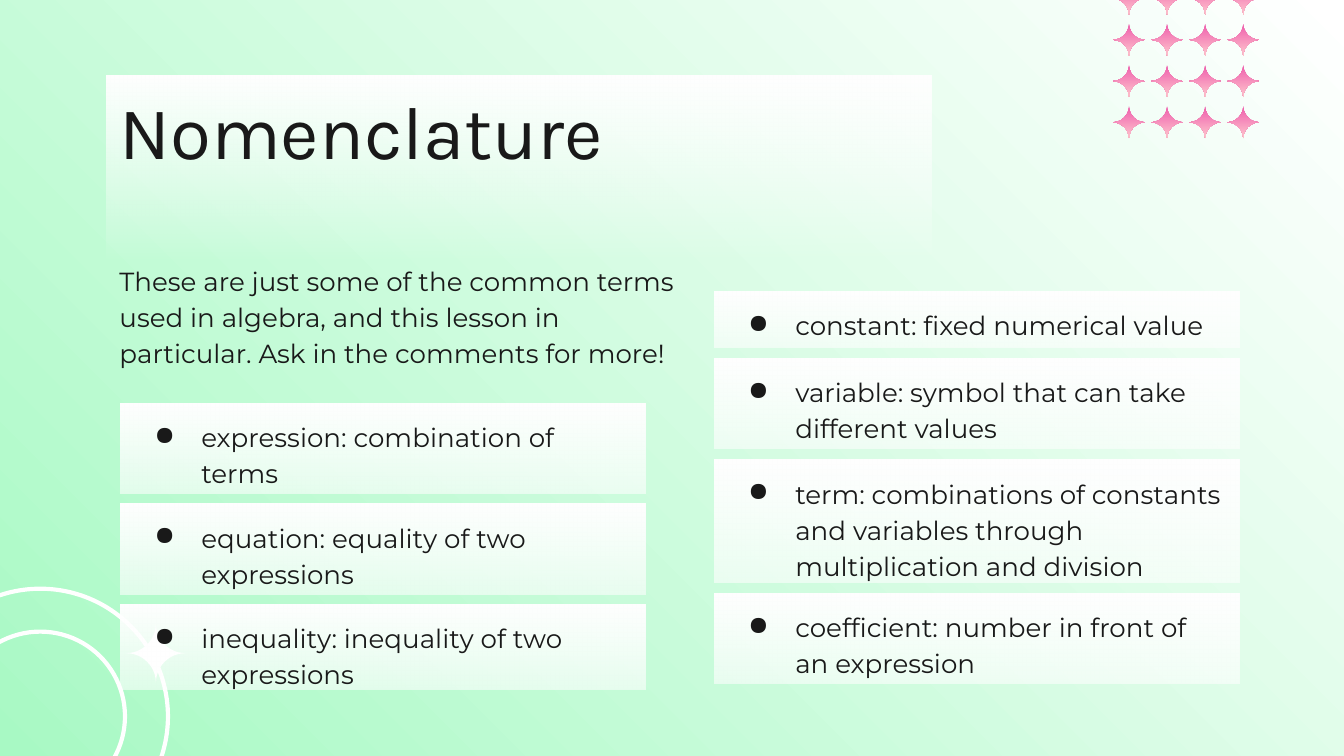
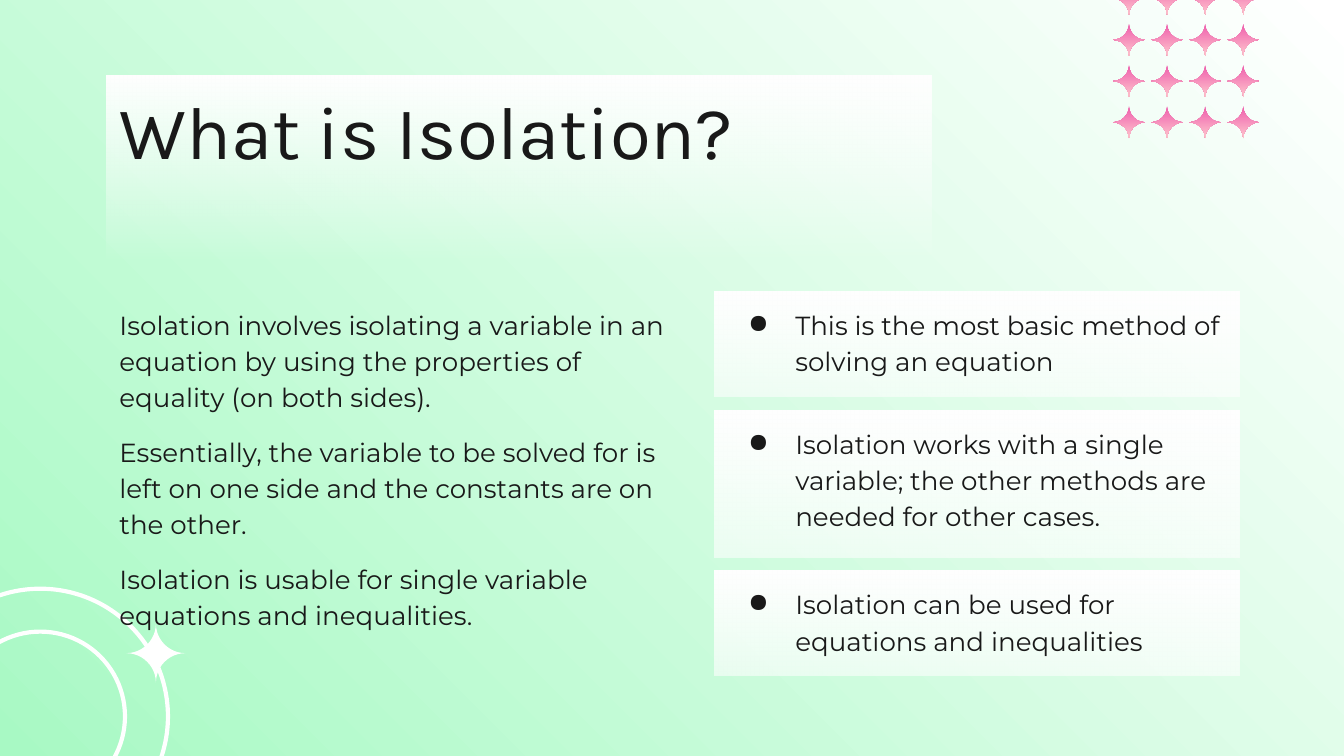
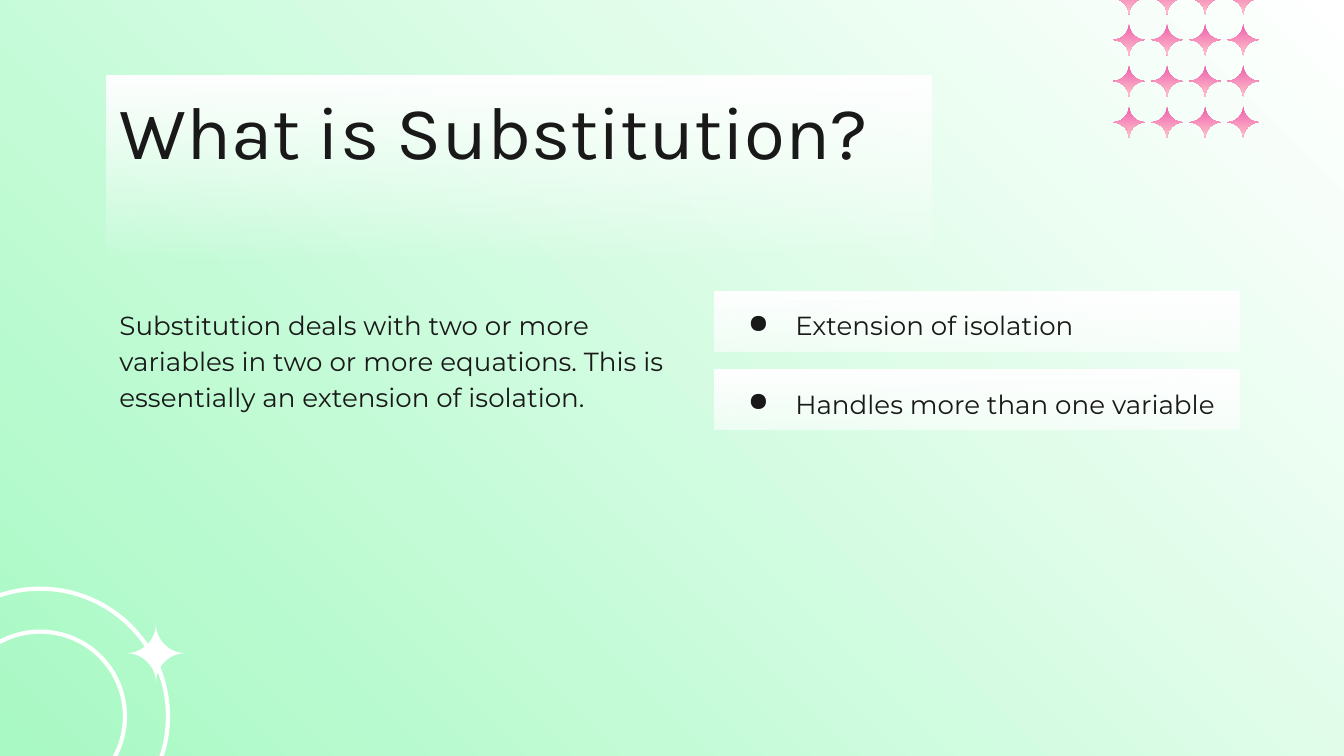
from itertools import product

from lxml.etree import SubElement
from pptx import Presentation
from pptx.dml.color import RGBColor
from pptx.enum.shapes import MSO_SHAPE
from pptx.enum.text import MSO_ANCHOR, PP_ALIGN
from pptx.oxml.ns import qn
from pptx.util import Pt

INK = RGBColor(0x19, 0x19, 0x19)
WHITE = RGBColor(0xFF, 0xFF, 0xFF)
MINT = RGBColor(0xA8, 0xF9, 0xC4)
PINK = RGBColor(0xEE, 0x5D, 0xAC)
BLUSH = RGBColor(0xFF, 0xC6, 0xCD)

DOWN = 270
TO_TOP_RIGHT = 45

TITLE_FONT = {"name": "Karla", "size": Pt(40)}
BODY_FONT = {"name": "Montserrat", "size": Pt(14)}
TITLE_SPACING = {"line_spacing": 0.8}
BODY_SPACING = {"line_spacing": 1.15, "space_before": Pt(10)}
CARD_SPACING = {"line_spacing": 1.15}

LEFT_COLUMN = 64.8
RIGHT_COLUMN = 383
CARD_WIDTH = 280.8
RIGHT_TOP = 156.2

LESSON = [
    {
        "title": "Nomenclature",
        "body_box": (56.9, 132.5, 318.2, 185),
        "body": [
            "These are just some of the common terms used in algebra, and this "
            "lesson in particular. Ask in the comments for more!"
        ],
        "columns": [
            (RIGHT_COLUMN, RIGHT_TOP, 6, [
                (29.8, "constant: fixed numerical value"),
                (48.4, "variable: symbol that can take different values"),
                (65.6, "term: combinations of constants and variables through "
                       "multiplication and division"),
                (48.4, "coefficient: number in front of an expression"),
            ]),
            (LEFT_COLUMN, 216, 5.6, [
                (48.4, "expression: combination of terms"),
                (48.4, "equation: equality of two expressions"),
                (45.4, "inequality: inequality of two expressions"),
            ]),
        ],
    },
    {
        "title": "What is Isolation?",
        "body_box": (56.9, RIGHT_TOP, 318.2, 198),
        "body": [
            "Isolation involves isolating a variable in an equation by using "
            "the properties of equality (on both sides).",
            "Essentially, the variable to be solved for is left on one side "
            "and the constants are on the other.",
            "Isolation is usable for single variable equations and "
            "inequalities.",
        ],
        "columns": [
            (RIGHT_COLUMN, RIGHT_TOP, 7.2, [
                (56.4, "This is the most basic method of solving an equation"),
                (78.8, "Isolation works with a single variable; the other "
                       "methods are needed for other cases."),
                (56.4, "Isolation can be used for equations and inequalities"),
            ]),
        ],
    },
    {
        "title": "What is Substitution?",
        "body_box": (56.9, RIGHT_TOP, 318.2, 198),
        "body": [
            "Substitution deals with two or more variables in two or more "
            "equations. This is essentially an extension of isolation."
        ],
        "columns": [
            (RIGHT_COLUMN, RIGHT_TOP, 10, [
                (32, "Extension of isolation"),
                (32, "Handles more than one variable"),
            ]),
        ],
    },
]


def apply(target, values):
    for key, value in values.items():
        setattr(target, key, value)


def fill_gradient(fill, start, end, angle):
    fill.gradient()
    fill.gradient_angle = angle
    for stop, color in zip(fill.gradient_stops, (start, end)):
        stop.color.rgb = color


def add_plain(shapes, kind, box):
    plain = shapes.add_shape(kind, *map(Pt, box))
    plain.shadow.inherit = False
    plain.line.fill.background()
    return plain


def add_panel(slide, box, end_opacity):
    panel = add_plain(slide.shapes, MSO_SHAPE.RECTANGLE, box)
    fill_gradient(panel.fill, WHITE, WHITE, DOWN)
    last_color = panel._element.spPr.findall(".//" + qn("a:srgbClr"))[-1]
    SubElement(last_color, qn("a:alpha"), val=str(end_opacity * 1000))
    return panel


def write(holder, lines, font, spacing, top_margin=7.2):
    frame = holder.text_frame
    apply(frame, {
        "word_wrap": True,
        "vertical_anchor": MSO_ANCHOR.TOP,
        "margin_left": Pt(7.2),
        "margin_right": Pt(7.2),
        "margin_top": Pt(top_margin),
        "margin_bottom": Pt(7.2),
    })
    for index, line in enumerate(lines):
        paragraph = frame.add_paragraph() if index else frame.paragraphs[0]
        apply(paragraph, {"alignment": PP_ALIGN.LEFT, **spacing})
        run = paragraph.add_run()
        run.text = line
        apply(run.font, font)
        run.font.color.rgb = INK


def add_bullet(paragraph):
    properties = paragraph._p.get_or_add_pPr()
    properties.set("marL", str(Pt(36)))
    properties.set("indent", str(Pt(-25.2)))
    bullet_color = SubElement(properties, qn("a:buClr"))
    SubElement(bullet_color, qn("a:srgbClr"), val=str(INK))
    SubElement(properties, qn("a:buChar"), char="●")


def add_ring(slide):
    ring = add_plain(slide.shapes, MSO_SHAPE.DONUT, (-46.8, 315.4, 136.8, 136.8))
    ring.adjustments[0] = 0.168
    ring.fill.background()
    ring.line.color.rgb = WHITE
    ring.line.width = Pt(2.25)


def add_sparkle(shapes, left, top, size):
    sparkle = add_plain(shapes, MSO_SHAPE.PLAQUE, (left, top, size, size))
    sparkle.adjustments[0] = 0.5
    return sparkle


def add_sparkles(slide):
    ring_sparkle = add_sparkle(slide.shapes, 67.7, 334.1, 31.7)
    ring_sparkle.fill.solid()
    ring_sparkle.fill.fore_color.rgb = WHITE
    cluster = slide.shapes.add_group_shape()
    for row, column in product(range(4), repeat=2):
        sparkle = add_sparkle(
            cluster.shapes, 596.2 + 20.4 * column, -9.4 + 22.1 * row, 17.3)
        fill_gradient(sparkle.fill, PINK, BLUSH, DOWN)


def add_title(slide, title):
    panel = add_panel(slide, (56.9, 40.3, 442.1, 99.4), 0)
    write(panel, [title], TITLE_FONT, TITLE_SPACING, top_margin=14.4)


def add_body(slide, box, lines):
    body = slide.shapes.add_textbox(*map(Pt, box))
    write(body, lines, BODY_FONT, BODY_SPACING)


def add_cards(slide, left, top, gap, cards):
    for height, text in cards:
        card = add_panel(slide, (left, top, CARD_WIDTH, height), 58)
        write(card, [text], BODY_FONT, CARD_SPACING)
        add_bullet(card.text_frame.paragraphs[0])
        top += height + gap


def main():
    deck = Presentation()
    deck.slide_width, deck.slide_height = Pt(720), Pt(405)
    for topic in LESSON:
        slide = deck.slides.add_slide(deck.slide_layouts[6])
        fill_gradient(slide.background.fill, MINT, WHITE, TO_TOP_RIGHT)
        add_ring(slide)
        add_title(slide, topic["title"])
        add_body(slide, topic["body_box"], topic["body"])
        add_sparkles(slide)
        for column in topic["columns"]:
            add_cards(slide, *column)
    deck.save("out.pptx")


if __name__ == "__main__":
    main()
